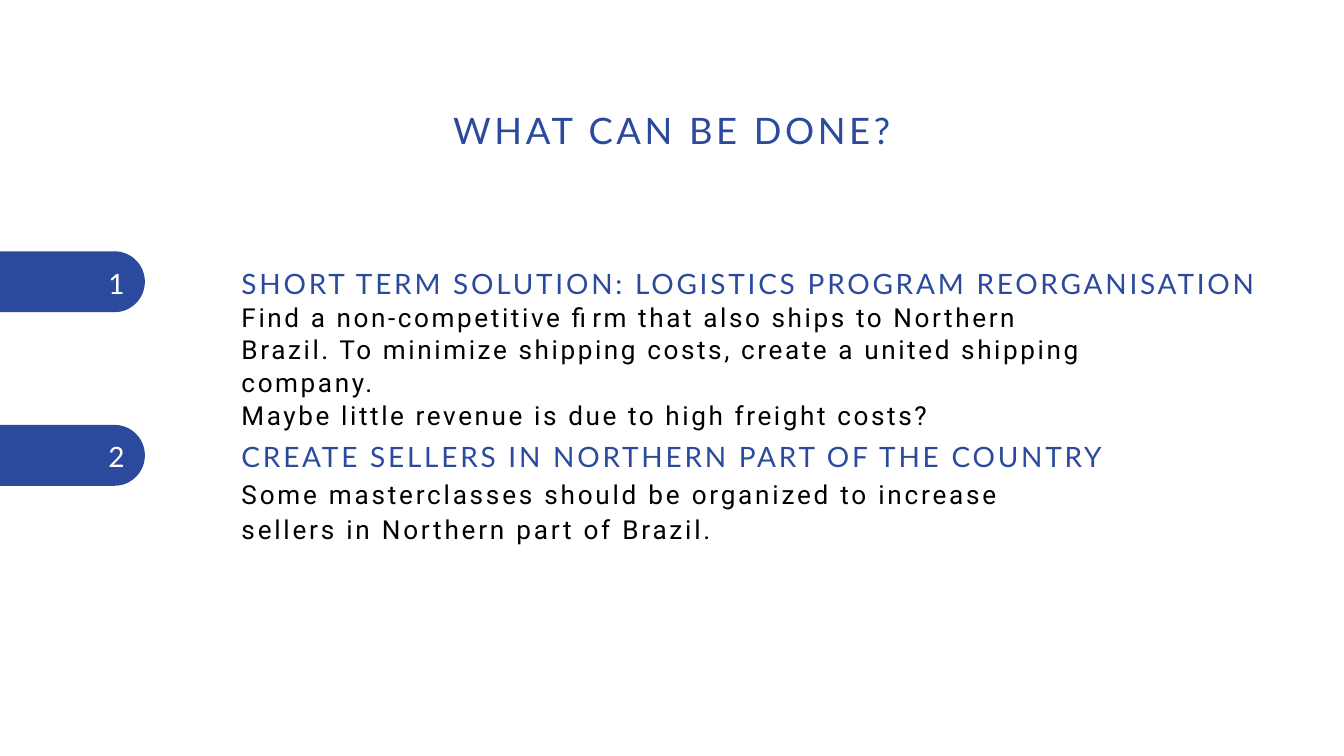
from pptx import Presentation
from pptx import util as u
from pptx.dml.color import RGBColor
from pptx.enum import shapes, text

PX = u.Inches(1) // 96
BLUE, BLACK, WHITE = "2B4A9D", "000000", "FFFFFF"
ROW_TOP, ROW_PITCH = 372, 248
TEXT_LEFT = 345

SOLUTIONS = [
    dict(
        heading="SHORT TERM SOLUTION: LOGISTICS PROGRAM REORGANISATION",
        heading_width=1496,
        body=[
            "Find a non-competitive firm that also ships to Northern Brazil. "
            "To minimize shipping costs, create a united shipping company.",
            "Maybe little revenue is due to high freight costs?",
        ],
        body_offset=56, body_height=137, leading=35, tracking=2.8,
    ),
    dict(
        heading="CREATE SELLERS IN NORTHERN PART OF THE COUNTRY",
        heading_width=1328,
        body=[
            "Some masterclasses should be organized to increase sellers "
            "in Northern part of Brazil.",
        ],
        body_offset=58, body_height=98, leading=37.5, tracking=3,
    ),
]


def color(value):
    return RGBColor.from_string(value)


def write(para, words, *, size, font, fill, leading, tracking, centered=False):
    para.alignment = text.PP_ALIGN.CENTER if centered else text.PP_ALIGN.LEFT
    para.line_spacing = u.Pt(leading)
    span = para.add_run()
    span.text = words
    span.font.size = u.Pt(size)
    span.font.name = font
    span.font.color.rgb = color(fill)
    span._r.get_or_add_rPr().set("spc", str(round(tracking * 100)))


class SlideBuilder:
    heading = dict(size=30, font="Lato", fill=BLUE, leading=42, tracking=3)
    number = dict(heading, fill=WHITE, centered=True)
    title = dict(size=39, font="Lato", fill=BLUE, leading=54.6, tracking=3.9, centered=True)
    body = dict(size=28, font="Roboto", fill=BLACK)

    def __init__(self, slide):
        self.slide = slide

    def label(self, left, top, width, height, lines, **style):
        box = self.slide.shapes.add_textbox(left * PX, top * PX, width * PX, height * PX)
        frame = box.text_frame
        frame.word_wrap = True
        frame.margin_left = frame.margin_right = frame.margin_top = frame.margin_bottom = 0
        for index, line in enumerate(lines):
            para = frame.add_paragraph() if index else frame.paragraphs[0]
            write(para, line, **style)

    def tab(self, left, top, width, height):
        shape = self.slide.shapes.add_shape(
            shapes.MSO_SHAPE.ROUND_2_SAME_RECTANGLE,
            (left + (width - height) // 2) * PX, (top - (width - height) // 2) * PX,
            height * PX, width * PX)
        shape.rotation = 90
        shape.adjustments[0] = 0.5
        shape.shadow.inherit = False
        shape.fill.solid()
        shape.fill.fore_color.rgb = color(BLUE)
        shape.line.fill.background()

    def solution(self, number, top, item):
        self.tab(0, top - 13, 207, 87)
        self.label(TEXT_LEFT, top + item["body_offset"], 1223, item["body_height"], item["body"],
                   leading=item["leading"], tracking=item["tracking"], **self.body)
        self.label(TEXT_LEFT, top, item["heading_width"], 51, [item["heading"]], **self.heading)
        self.label(141, top, 51, 51, [str(number)], **self.number)


def main():
    deck = Presentation()
    deck.slide_width, deck.slide_height = 1920 * PX, 1080 * PX
    page = SlideBuilder(deck.slides.add_slide(deck.slide_layouts[6]))
    for index, item in enumerate(SOLUTIONS):
        page.solution(index + 1, ROW_TOP + index * ROW_PITCH, item)
    page.label(409, 144, 1102, 66, ["WHAT CAN BE DONE?"], **page.title)
    deck.save("out.pptx")


if __name__ == "__main__":
    main()
